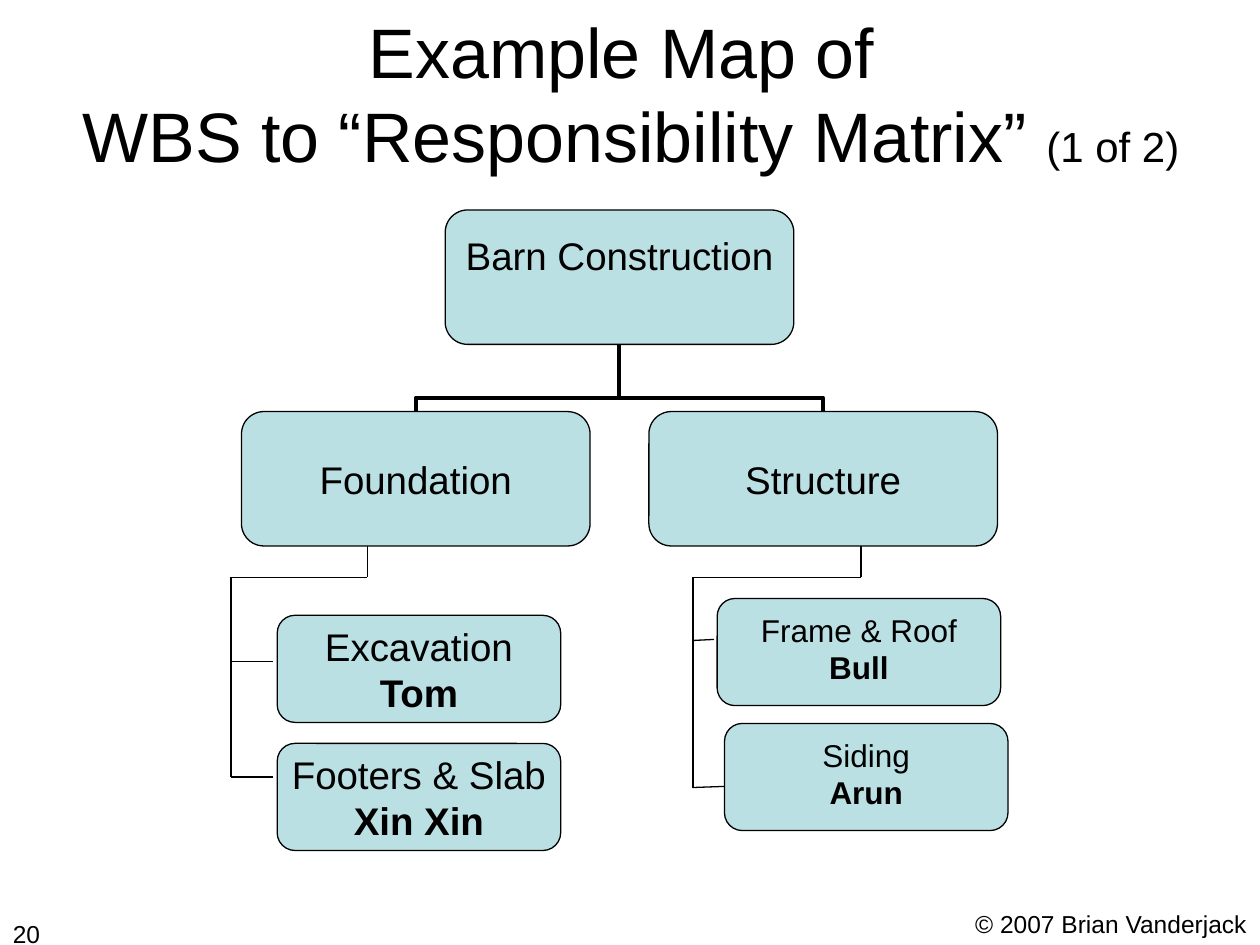
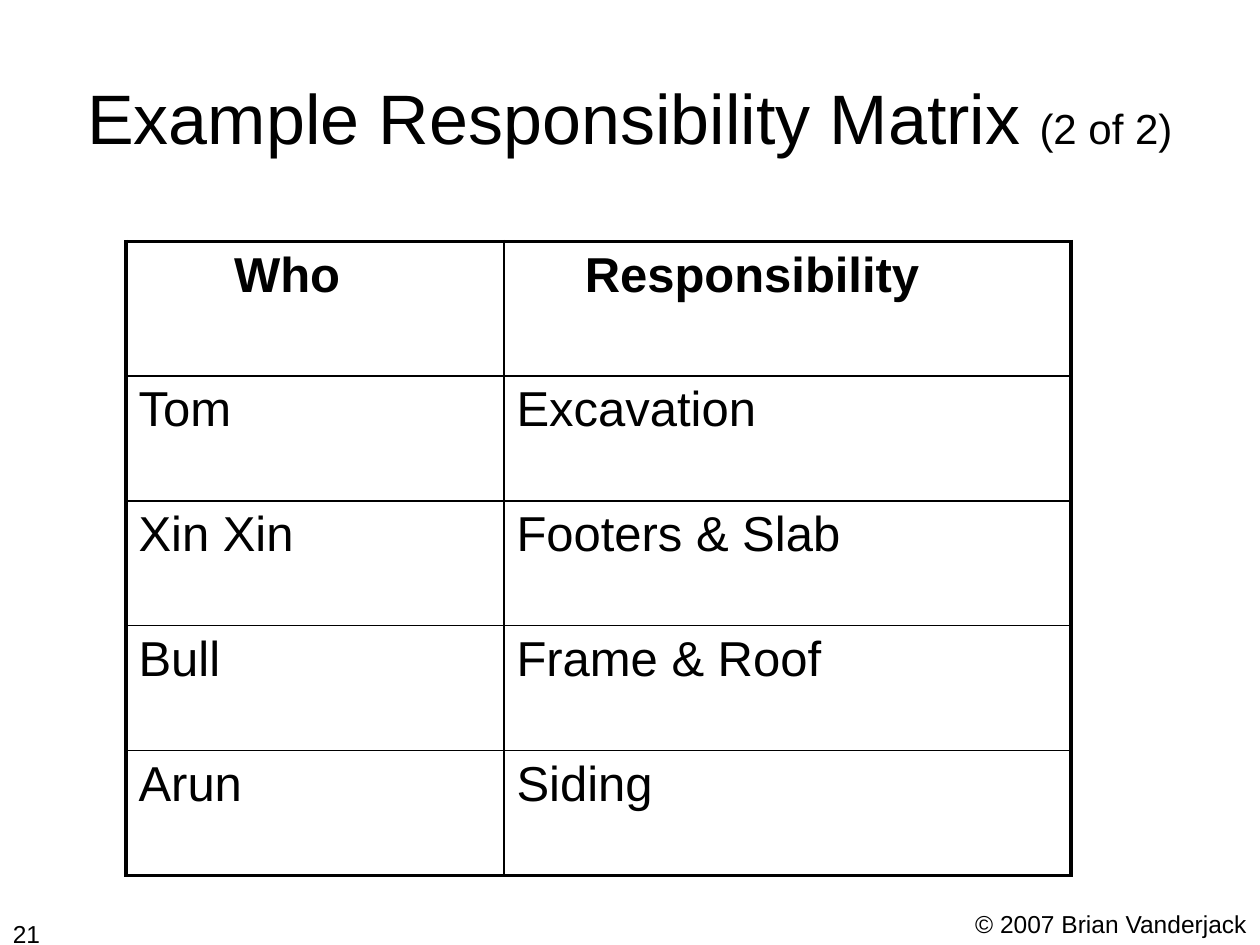
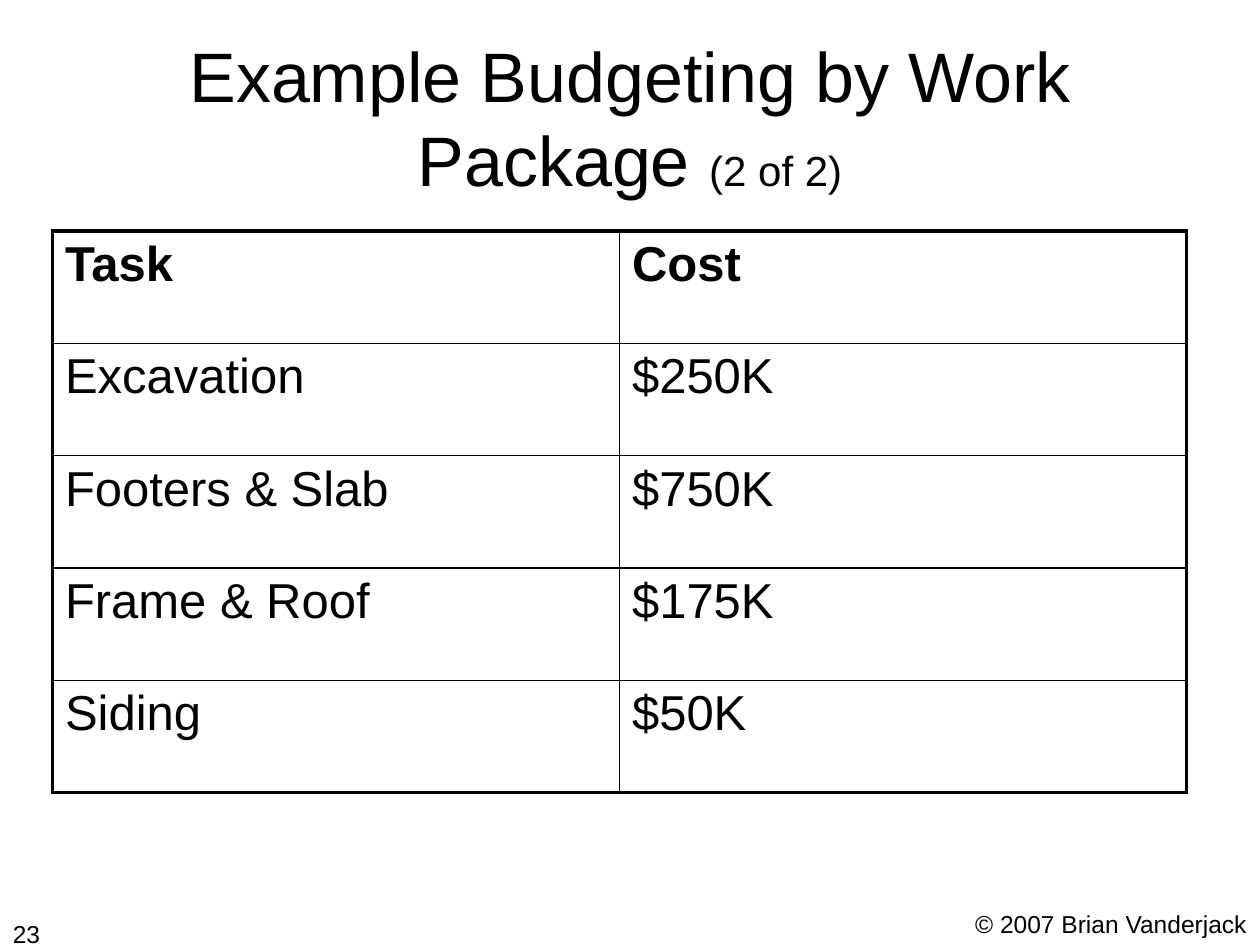
from dataclasses import dataclass

from lxml import etree
from pptx import Presentation
from pptx.dml.color import RGBColor
from pptx.enum.shapes import MSO_CONNECTOR, MSO_SHAPE
from pptx.enum.text import MSO_ANCHOR, PP_ALIGN
from pptx.oxml.ns import qn
from pptx.util import Inches, Pt

ROUNDED = MSO_SHAPE.ROUNDED_RECTANGLE
STRAIGHT, ELBOW = MSO_CONNECTOR.STRAIGHT, MSO_CONNECTOR.ELBOW
LEFT, CENTER, RIGHT = PP_ALIGN.LEFT, PP_ALIGN.CENTER, PP_ALIGN.RIGHT
TOP, MIDDLE = MSO_ANCHOR.TOP, MSO_ANCHOR.MIDDLE

# The slide is a grid of 120 columns and 90 rows of square units.
WIDTH, HEIGHT = Inches(10), Inches(7.5)
UNIT = WIDTH / 120

FONT = "Arial"
INK = "000000"
BOX_FILL = "BBE0E3"
THIN, INNER, THICK = 0.75, 1, 2.25
TITLE_SIZE, PART_SIZE, TABLE_SIZE, FOOTER_SIZE = 40, 24, 28, 14
COPYRIGHT = "© 2007 Brian Vanderjack"
CELL_MARGIN = 1.2


@dataclass(frozen=True)
class Area:
    left: float
    top: float
    width: float
    height: float

    @property
    def center(self) -> float:
        return self.left + self.width / 2

    @property
    def bottom(self) -> float:
        return self.top + self.height

    def lengths(self) -> tuple:
        return tuple(grid(n) for n in (self.left, self.top, self.width, self.height))


@dataclass(frozen=True)
class WorkBox:
    area: Area
    task: str
    owner: str = ""
    size: float = 22
    lift: float = 0  # bottom inset that raises the centred text


@dataclass(frozen=True)
class Matrix:
    left: float
    top: float
    columns: tuple
    row_heights: tuple
    rows: tuple
    header_indents: tuple = (0, 0)


TITLE_AREA = Area(6, 3.6, 108, 15)
HIGH_TITLE_AREA = Area(6.1, 1.3, 108, 15)
COPYRIGHT_AREA = Area(91.7, 86, 28.3, 4)
NUMBER_AREA = Area(-3, 86.9, 8, 6.2)

PROJECT = WorkBox(Area(42.4, 20, 33.2, 12.8), "Barn Construction", lift=4.2)
PHASES = (
    WorkBox(Area(61.8, 39.2, 33.2, 12.8), "Structure"),
    WorkBox(Area(23, 39.2, 33.2, 12.8), "Foundation"),
)
PACKAGES = (
    WorkBox(Area(26.4, 70.8, 27, 10.2), "Footers & Slab", "Xin Xin"),
    WorkBox(Area(26.4, 58.6, 27, 10.2), "Excavation", "Tom"),
    WorkBox(Area(69, 68.9, 27, 10.2), "Siding", "Arun", 18, 0.7),
    WorkBox(Area(68.3, 57, 27, 10.2), "Frame & Roof", "Bull", 18, 0.7),
)
# Each branch: drop from the phase, bar, spine, and one stub per package.
BRANCH_LINES = (
    (35, 52, 35, 55), (22, 55, 35, 55), (22, 55, 22, 74),
    (22, 63, 26, 63), (22, 74, 26, 74),
    (82, 52, 82, 55), (66, 55, 82, 55), (66, 55, 66, 75),
    (66, 61, 68, 60.9), (66, 75, 69, 74.9),
)

RESPONSIBILITIES = Matrix(
    12, 23, (36, 54), (12.8,) + (11.9,) * 4,
    (("Who", "Responsibility"), ("Tom", "Excavation"), ("Xin Xin", "Footers & Slab"),
     ("Bull", "Frame & Roof"), ("Arun", "Siding")),
    header_indents=(9.1, 6.5),
)
BUDGET = Matrix(
    5, 22, (54, 54), (10.7,) * 5,
    (("Task", "Cost"), ("Excavation", "$250K"), ("Footers & Slab", "$750K"),
     ("Frame & Roof", "$175K"), ("Siding", "$50K")),
)


def grid(units: float) -> int:
    return round(units * UNIT)


def color(value: str) -> RGBColor:
    return RGBColor.from_string(value)


def format_run(span, size: float, bold: bool = False) -> None:
    span.font.name = FONT
    span.font.size = Pt(size)
    span.font.bold = bold
    span.font.color.rgb = color(INK)


def add_text(page, area: Area, text: str, size: float, align=LEFT, anchor=TOP, wrap=True):
    box = page.shapes.add_textbox(*area.lengths())
    frame = box.text_frame
    frame.word_wrap = wrap
    frame.vertical_anchor = anchor
    frame.text = text
    para = frame.paragraphs[0]
    para.alignment = align
    for span in para.runs:
        format_run(span, size)
    return para


def start_page(deck, number: int, title: str, part: str, area: Area = TITLE_AREA):
    """Add a blank slide with its footer, page number and title."""
    page = deck.slides.add_slide(deck.slide_layouts[6])
    add_text(page, COPYRIGHT_AREA, COPYRIGHT, FOOTER_SIZE, wrap=False)
    add_text(page, NUMBER_AREA, str(number), FOOTER_SIZE, RIGHT)
    para = add_text(page, area, "", TITLE_SIZE, CENTER, MIDDLE)
    para.text = title
    for span in para.runs:
        format_run(span, TITLE_SIZE)
    suffix = para.add_run()
    suffix.text = part
    format_run(suffix, PART_SIZE)
    return page


def add_line(page, kind, ends: tuple, weight: float):
    line = page.shapes.add_connector(kind, *(grid(n) for n in ends))
    line.line.color.rgb = color(INK)
    line.line.width = Pt(weight)
    etree.SubElement(line._element.spPr, qn("a:effectLst"))
    return line


def add_trunk(page, parent: Area, child: Area) -> None:
    """Run an elbow from the child's top centre up to the parent's bottom centre."""
    drop = child.top - parent.bottom
    span = abs(child.center - parent.center)
    left = (child.center + parent.center - drop) / 2
    top = (child.top + parent.bottom - span) / 2
    elbow = add_line(page, ELBOW, (left, top, left + drop, top + span), THICK)
    properties = elbow._element.spPr
    frame = properties.find(qn("a:xfrm"))
    on_right = child.center > parent.center
    frame.set("rot", str((90 if on_right else 270) * 60000))
    if on_right:
        frame.set("flipH", "1")
    adjustments = properties.find(qn("a:prstGeom")).find(qn("a:avLst"))
    etree.SubElement(adjustments, qn("a:gd"), name="adj1", fmla="val 20800")


def add_work_box(page, work: WorkBox) -> None:
    box = page.shapes.add_shape(ROUNDED, *work.area.lengths())
    box.shadow.inherit = False
    box.fill.solid()
    box.fill.fore_color.rgb = color(BOX_FILL)
    box.line.color.rgb = color(INK)
    box.line.width = Pt(THIN)
    frame = box.text_frame
    frame.word_wrap = False
    frame.vertical_anchor = MIDDLE
    frame.margin_left = frame.margin_right = frame.margin_top = 0
    frame.margin_bottom = grid(work.lift)
    frame.text = "\n".join(filter(None, (work.task, work.owner)))
    for index, para in enumerate(frame.paragraphs):
        para.alignment = CENTER
        format_run(para.runs[0], work.size, bold=index > 0)


def add_border(cell, side: str, weight: float) -> None:
    line = etree.SubElement(cell._tc.get_or_add_tcPr(), qn(f"a:ln{side}"), w=str(Pt(weight)))
    fill = etree.SubElement(line, qn("a:solidFill"))
    etree.SubElement(fill, qn("a:srgbClr"), val=INK)


def add_matrix(page, matrix: Matrix) -> None:
    area = Area(matrix.left, matrix.top, sum(matrix.columns), sum(matrix.row_heights))
    last_row, last_column = len(matrix.rows) - 1, len(matrix.columns) - 1
    table = page.shapes.add_table(last_row + 1, last_column + 1, *area.lengths()).table
    table.first_row = table.horz_banding = False
    for column, width in zip(table.columns, matrix.columns):
        column.width = grid(width)
    for row, (height, texts) in enumerate(zip(matrix.row_heights, matrix.rows)):
        table.rows[row].height = grid(height)
        for column, text in enumerate(texts):
            cell = table.cell(row, column)
            cell.text = text
            format_run(cell.text_frame.paragraphs[0].runs[0], TABLE_SIZE, bold=row == 0)
            indent = matrix.header_indents[column] if row == 0 else 0
            cell.margin_left = grid(CELL_MARGIN + indent)
            outer_sides = {"L": column == 0, "R": column == last_column,
                           "T": row == 0, "B": row == last_row}
            for side, outer in outer_sides.items():
                add_border(cell, side, THICK if outer else INNER)
            cell.fill.background()


def build_breakdown(deck) -> None:
    page = start_page(deck, 20, "Example Map of \vWBS to “Responsibility Matrix” ",
                      "(1 of 2)", HIGH_TITLE_AREA)
    for phase in PHASES:
        add_trunk(page, PROJECT.area, phase.area)
    for work in (PROJECT, *PHASES, *PACKAGES):
        add_work_box(page, work)
    for ends in BRANCH_LINES:
        add_line(page, STRAIGHT, ends, THIN)


def main() -> None:
    deck = Presentation()
    deck.slide_width, deck.slide_height = WIDTH, HEIGHT
    build_breakdown(deck)
    add_matrix(start_page(deck, 21, "Example Responsibility Matrix ", "(2 of 2)"),
               RESPONSIBILITIES)
    add_matrix(start_page(deck, 23, "Example Budgeting by Work Package ", "(2 of 2)"),
               BUDGET)
    deck.save("out.pptx")


if __name__ == "__main__":
    main()
